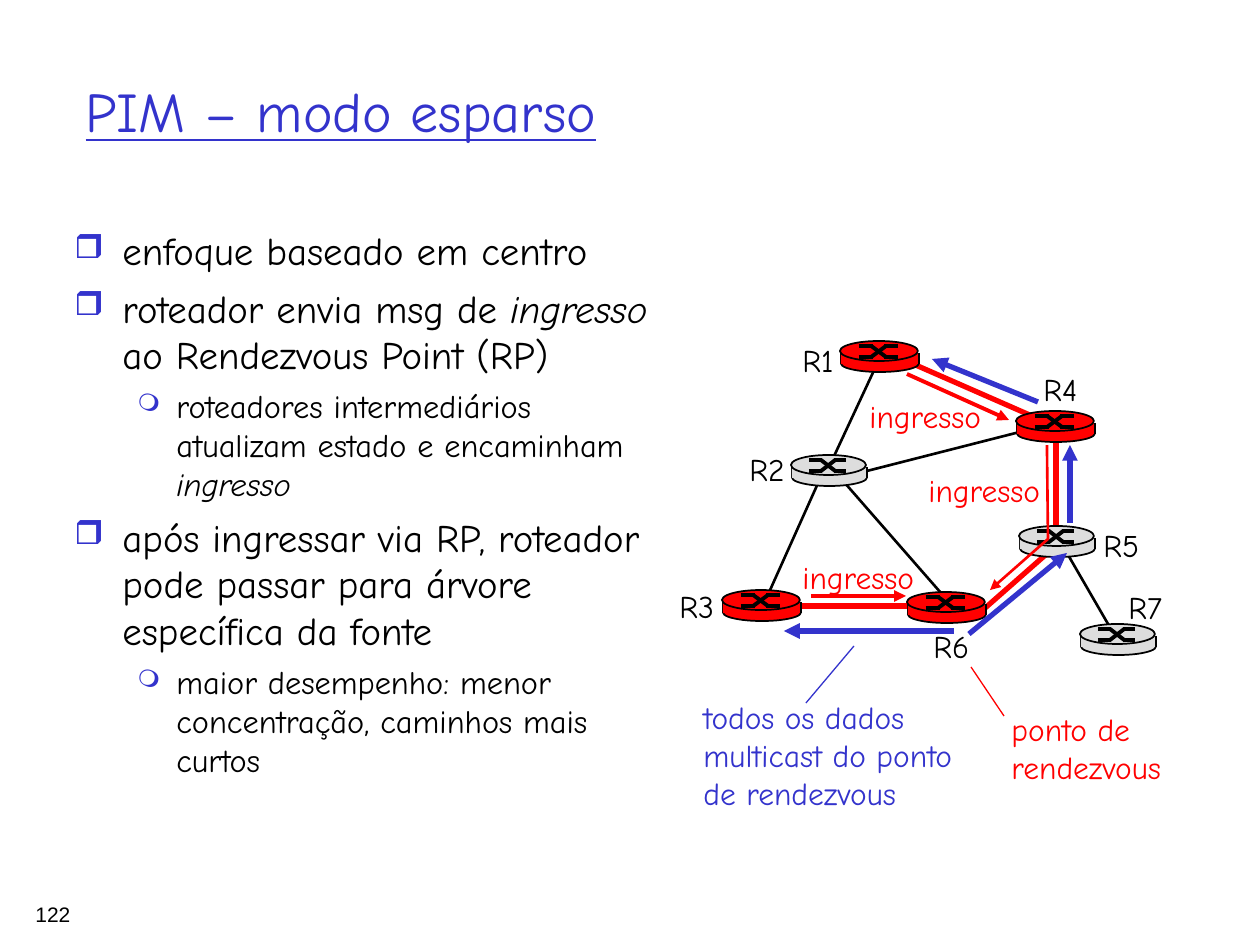
"""Builds the slide on PIM sparse mode with its multicast router diagram."""
from lxml.etree import SubElement
from pptx import Presentation
from pptx.dml.color import RGBColor
from pptx.enum.shapes import MSO_CONNECTOR, MSO_SHAPE
from pptx.enum.text import MSO_ANCHOR, PP_ALIGN
from pptx.oxml.ns import qn
from pptx.util import Pt

SCALE = 914400 / 126
BLACK = RGBColor(0, 0, 0)
RED = RGBColor(0xFF, 0, 0)
BLUE = RGBColor(0x33, 0x33, 0xCC)
GREY = RGBColor(0xDD, 0xDD, 0xDD)
FONT = "Comic Neue"

TITLE = "PIM – modo esparso"
POINTS = [
    (0, [("enfoque baseado em centro", False)]),
    (0, [("roteador envia msg de ", False), ("ingresso", True),
         (" ao Rendezvous Point (RP)", False)]),
    (1, [("roteadores intermediários atualizam estado e encaminham ", False),
         ("ingresso", True)]),
    (0, [("após ingressar via RP, roteador pode passar para árvore "
          "específica da fonte", False)]),
    (1, [("maior desempenho: menor concentração, caminhos mais curtos", False)]),
]
LEVELS = [
    {"size": 22.2, "before": 6, "margin": 48, "hang": 48, "bullet": "❒", "percent": 85},
    {"size": 18.5, "before": 5, "margin": 102, "hang": 39, "bullet": "❍", "percent": 75},
]
LINKS = [
    ((1060, 541), (1115, 636), BLACK, 1.5),
    ((867, 471), (1055, 423), BLACK, 1.5),
    ((830, 466), (948, 601), BLACK, 1.5),
    ((911, 363), (1048, 423), RED, 3),
    ((984, 609), (1058, 544), RED, 3),
    ((1056, 437), (1056, 537), RED, 3),
    ((785, 606), (927, 606), RED, 3),
    ((819, 481), (767, 597), BLACK, 1.5),
    ((877, 364), (829, 467), BLACK, 1.5),
]
ROUTERS = [
    ((907, 592), 78, RED), ((1016, 411), 78, RED), ((722, 590), 78, RED),
    ((1019, 526), 75, GREY), ((791, 455), 75, GREY), ((840, 341), 78, RED),
    ((1080, 624), 75, GREY),
]
ROUTER_LABEL_WIDTH = 68
JOIN_LABEL_WIDTH = 145
LABELS = [
    ("R1", 790, 335, ROUTER_LABEL_WIDTH, BLACK),
    ("R2", 737, 444, ROUTER_LABEL_WIDTH, BLACK),
    ("R3", 667, 581, ROUTER_LABEL_WIDTH, BLACK),
    ("R4", 1031, 364, ROUTER_LABEL_WIDTH, BLACK),
    ("R5", 1091, 520, ROUTER_LABEL_WIDTH, BLACK),
    ("R6", 921, 621, ROUTER_LABEL_WIDTH, BLACK),
    ("R7", 1116, 582, ROUTER_LABEL_WIDTH, BLACK),
    ("ingresso", 916, 465, JOIN_LABEL_WIDTH, RED),
    ("ingresso", 857, 391, JOIN_LABEL_WIDTH, RED),
    ("ingresso", 790, 552, JOIN_LABEL_WIDTH, RED),
    ("todos os dados\nmulticast do ponto\vde rendezvous", 691, 692, 283, BLUE),
    ("ponto de\vrendezvous", 999, 704, 184, RED),
]
JOIN_PATH = [(1047, 445), (1048, 539), (990, 590)]
ARROWS = [
    ((811, 596), (906, 596), RED, 2.25),
    ((907, 374), (1009, 420), RED, 2.25),
    ((954, 631), (784, 631), BLUE, 3),
    ((969, 634), (1067, 553), BLUE, 3),
    ((1070, 523), (1070, 445), BLUE, 3),
    ((1038, 402), (932, 359), BLUE, 3),
]
POINTERS = [
    ((806, 703), (854, 646), BLUE, 0.75),
    ((971, 667), (1004, 716), RED, 0.75),
]


def px(value):
    return round(value * SCALE)


def add_arrowhead(line_shape):
    line = line_shape.line._get_or_add_ln()
    SubElement(line, qn("a:tailEnd"), type="triangle")


def add_line(shapes, start, end, color, width, arrow=False):
    ends = [px(value) for value in (*start, *end)]
    line = shapes.add_connector(MSO_CONNECTOR.STRAIGHT, *ends)
    line.line.color.rgb = color
    line.line.width = Pt(width)
    if arrow:
        add_arrowhead(line)
    SubElement(line._element.spPr, qn("a:effectLst"))


def add_part(shapes, kind, left, top, width, height, fill, outlined):
    part = shapes.add_shape(kind, px(left), px(top), px(width), px(height))
    part.shadow.inherit = False
    part.fill.solid()
    part.fill.fore_color.rgb = fill
    if outlined:
        part.line.color.rgb = BLACK
        part.line.width = Pt(1)
    else:
        part.line.fill.background()


def add_router(page, corner, width, color):
    left, top = corner
    shapes = page.shapes.add_group_shape().shapes
    add_part(shapes, MSO_SHAPE.OVAL, left + 1, top + 14, width, 17, color, True)
    for side in (left + 1, left + 1 + width):
        add_line(shapes, (side, top + 12), (side, top + 23), BLACK, 1)
    add_part(shapes, MSO_SHAPE.RECTANGLE, left + 1, top + 12, width - 1, 11, color, False)
    add_part(shapes, MSO_SHAPE.OVAL, left, top, width, 20, color, True)
    upper, lower = top + 5, top + 16
    for begin, finish in ((upper, lower), (lower, upper)):
        strokes = [(0.24, begin, 0.42, begin), (0.4, begin, 0.59, finish),
                   (0.57, finish, 0.74, finish)]
        for x1, y1, x2, y2 in strokes:
            add_line(shapes, (left + x1 * width, y1), (left + x2 * width, y2), BLACK, 2.25)


def add_text(page, text, left, top, width, height, size, color, font=FONT):
    box = page.shapes.add_textbox(px(left), px(top), px(width), px(height))
    box.text_frame.word_wrap = True
    box.text_frame.text = text
    for paragraph in box.text_frame.paragraphs:
        style_font(paragraph.font, size, color, font)


def style_font(font, size, color, name=FONT):
    font.name = name
    font.size = Pt(size)
    font.color.rgb = color


def add_points(page):
    box = page.shapes.add_textbox(px(62), px(221), px(619), px(640))
    frame = box.text_frame
    frame.word_wrap = True
    for index, (level, spans) in enumerate(POINTS):
        style = LEVELS[level]
        paragraph = frame.add_paragraph() if index else frame.paragraphs[0]
        paragraph.level = level
        properties = paragraph._p.get_or_add_pPr()
        properties.set("marL", str(px(style["margin"])))
        properties.set("indent", str(-px(style["hang"])))
        bullet_color = SubElement(properties, qn("a:buClr"))
        SubElement(bullet_color, qn("a:srgbClr"), val=str(BLUE))
        SubElement(properties, qn("a:buSzPct"), val=str(style["percent"] * 1000))
        SubElement(properties, qn("a:buChar"), char=style["bullet"])
        if index:
            paragraph.space_before = Pt(style["before"])
        for text, italic in spans:
            span = paragraph.add_run()
            span.text = text
            span.font.italic = italic
            style_font(span.font, style["size"], BLACK)


def add_title(page):
    title = page.shapes.title
    title.left, title.top, title.width, title.height = map(px, (73, 32, 1071, 157))
    title.text_frame.text = TITLE
    title.text_frame.vertical_anchor = MSO_ANCHOR.MIDDLE
    paragraph = title.text_frame.paragraphs[0]
    paragraph.alignment = PP_ALIGN.LEFT
    span = paragraph.runs[0]
    style_font(span.font, 32, BLUE)
    span.font.underline = True


def add_join_path(page):
    builder = page.shapes.build_freeform(*JOIN_PATH[0], scale=SCALE)
    builder.add_line_segments(JOIN_PATH[1:], close=False)
    route = builder.convert_to_shape()
    route.shadow.inherit = False
    route.fill.background()
    route.line.color.rgb = RED
    route.line.width = Pt(1.5)
    add_arrowhead(route)


def main():
    deck = Presentation()
    deck.slide_width, deck.slide_height = px(1260), px(945)
    page = deck.slides.add_slide(deck.slide_layouts[5])
    add_title(page)
    add_points(page)
    for link in LINKS:
        add_line(page.shapes, *link)
    for router in ROUTERS:
        add_router(page, *router)
    add_join_path(page)
    for text, left, top, width, color in LABELS:
        rows = 1 + text.count("\n") + text.count("\v")
        add_text(page, text, left, top, width, 12 + 38 * rows, 18, color)
    for arrow in ARROWS:
        add_line(page.shapes, *arrow, arrow=True)
    for pointer in POINTERS:
        add_line(page.shapes, *pointer)
    add_text(page, "122", 23, 895, 438, 29, 12, BLACK, "Arial")
    deck.save("out.pptx")


if __name__ == "__main__":
    main()
